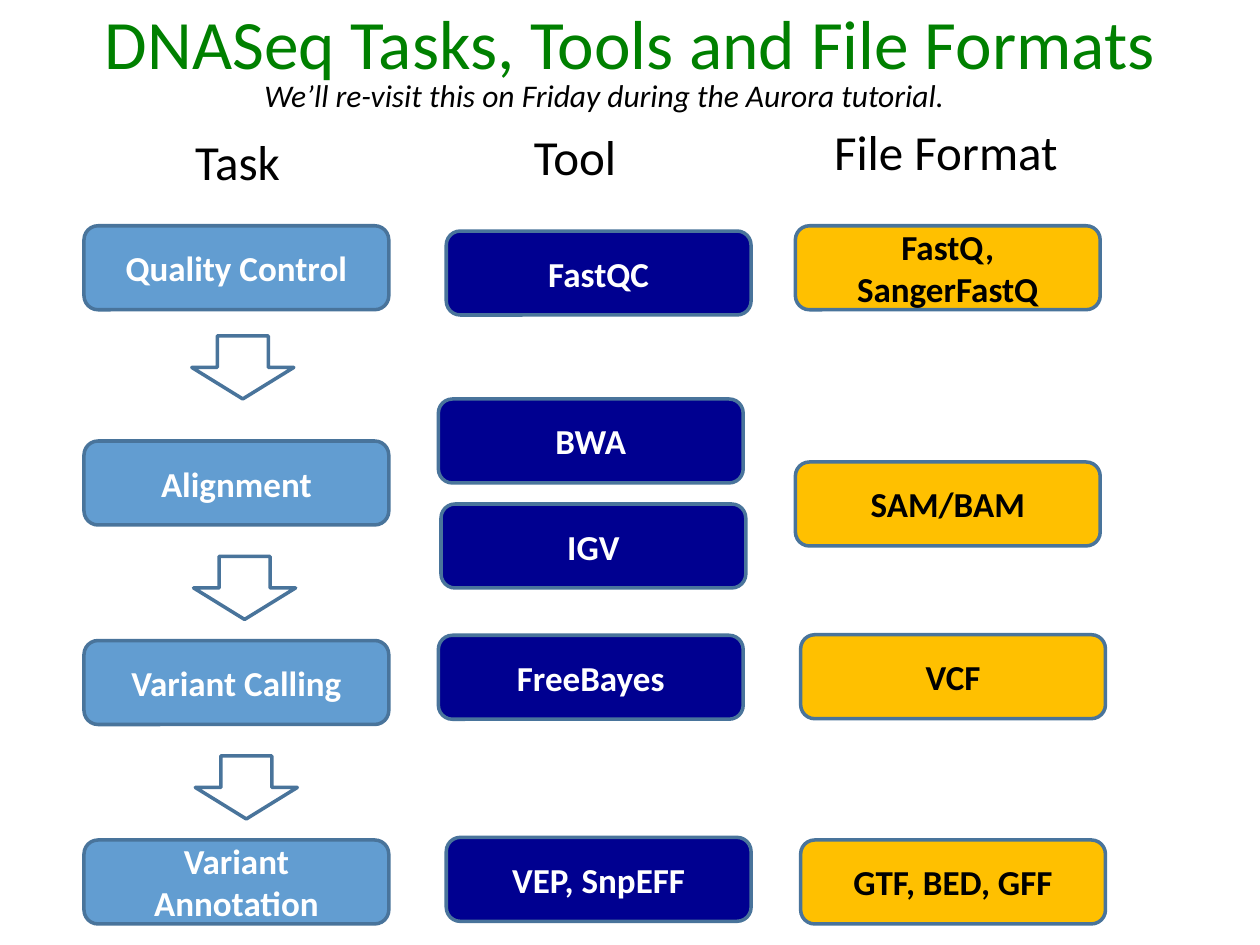
from dataclasses import dataclass

from pptx import Presentation
from pptx.dml.color import RGBColor
from pptx.enum.shapes import MSO_SHAPE
from pptx.enum.text import MSO_ANCHOR, MSO_AUTO_SIZE, PP_ALIGN
from pptx.shapes.autoshape import Shape
from pptx.slide import Slide
from pptx.text.text import TextFrame
from pptx.util import Pt

ROUNDED = MSO_SHAPE.ROUNDED_RECTANGLE
DOWN_ARROW = MSO_SHAPE.DOWN_ARROW
TOP, MIDDLE = MSO_ANCHOR.TOP, MSO_ANCHOR.MIDDLE
LEFT, CENTER = PP_ALIGN.LEFT, PP_ALIGN.CENTER
NO_AUTOFIT, GROW = MSO_AUTO_SIZE.NONE, MSO_AUTO_SIZE.SHAPE_TO_FIT_TEXT


@dataclass(frozen=True)
class Theme:
    font: str = "Calibri"
    title_size: float = 39.6
    heading_size: float = 28
    box_size: float = 20
    note_size: float = 18
    green: str = "008000"
    sky: str = "629DD1"
    navy: str = "000090"
    gold: str = "FFC000"
    outline: str = "49749B"
    white: str = "FFFFFF"
    black: str = "000000"
    outline_width: float = 2


THEME = Theme()
BOX_WIDTH, BOX_HEIGHT = 174.2, 48
ARROW_WIDTH, ARROW_HEIGHT = 58.3, 36


@dataclass(frozen=True)
class Box:
    text: str
    left: float
    top: float


@dataclass(frozen=True)
class Column:
    heading: str
    heading_left: float
    heading_top: float
    heading_width: float
    fill: str
    text_color: str
    boxes: tuple[Box, ...]


@dataclass(frozen=True)
class Arrow:
    left: float
    top: float


COLUMNS = (
    Column("Task", 104.4, 71.5, 63.4, THEME.sky, THEME.white, (
        Box("Quality Control", 48, 129),
        Box("Alignment", 48, 252),
        Box("Variant Calling", 48, 366),
        Box("Variant Annotation", 48, 480),
    )),
    Column("Tool", 298, 68.6, 61.9, THEME.navy, THEME.white, (
        Box("FastQC", 255, 132),
        Box("BWA", 250.5, 228),
        Box("IGV", 252, 288),
        Box("FreeBayes", 250.5, 363),
        Box("VEP, SnpEFF", 255, 478.5),
    )),
    Column("File Format", 469.5, 66, 143.3, THEME.gold, THEME.black, (
        Box("FastQ, SangerFastQ", 454.5, 129),
        Box("SAM/BAM", 454.5, 264),
        Box("VCF", 457.5, 362.7),
        Box("GTF, BED, GFF", 457.5, 480),
    )),
)
ARROWS = (Arrow(109.6, 192), Arrow(110.6, 318), Arrow(111.6, 432))


def write_text(frame: TextFrame, text: str, *, size: float, color: str,
               bold: bool = False, italic: bool = False, align: PP_ALIGN = LEFT,
               anchor: MSO_ANCHOR = TOP, wrap: bool = True,
               fit: MSO_AUTO_SIZE = NO_AUTOFIT) -> None:
    frame.word_wrap = wrap
    frame.auto_size = fit
    frame.vertical_anchor = anchor
    paragraph = frame.paragraphs[0]
    paragraph.alignment = align
    run = paragraph.add_run()
    run.text = text
    run.font.name = THEME.font
    run.font.size = Pt(size)
    run.font.bold = bold
    run.font.italic = italic
    run.font.color.rgb = RGBColor.from_string(color)


def add_outlined_shape(slide: Slide, kind: MSO_SHAPE, left: float, top: float,
                       width: float, height: float, fill: str) -> Shape:
    shape = slide.shapes.add_shape(kind, Pt(left), Pt(top), Pt(width), Pt(height))
    shape.shadow.inherit = False
    shape.fill.solid()
    shape.fill.fore_color.rgb = RGBColor.from_string(fill)
    shape.line.color.rgb = RGBColor.from_string(THEME.outline)
    shape.line.width = Pt(THEME.outline_width)
    return shape


def add_title(slide: Slide, text: str) -> None:
    title = slide.shapes.title
    title.left, title.top, title.width, title.height = Pt(36), Pt(-6), Pt(648), Pt(90)
    title.text_frame.margin_top = Pt(6)
    write_text(title.text_frame, text, size=THEME.title_size, color=THEME.green,
               align=CENTER)


def add_note(slide: Slide, text: str) -> None:
    note = slide.shapes.add_textbox(Pt(144), Pt(39.6), Pt(497), Pt(29))
    write_text(note.text_frame, text, size=THEME.note_size, color=THEME.black,
               italic=True, fit=GROW)


def add_column(slide: Slide, column: Column) -> None:
    heading = slide.shapes.add_textbox(Pt(column.heading_left), Pt(column.heading_top),
                                       Pt(column.heading_width), Pt(41))
    write_text(heading.text_frame, column.heading, size=THEME.heading_size,
               color=THEME.black, wrap=False, fit=GROW)
    for box in column.boxes:
        shape = add_outlined_shape(slide, ROUNDED, box.left, box.top,
                                   BOX_WIDTH, BOX_HEIGHT, column.fill)
        write_text(shape.text_frame, box.text, size=THEME.box_size,
                   color=column.text_color, bold=True, align=CENTER, anchor=MIDDLE)


def main() -> None:
    presentation = Presentation()
    presentation.slide_width, presentation.slide_height = Pt(720), Pt(540)
    slide = presentation.slides.add_slide(presentation.slide_layouts[5])
    add_title(slide, "DNASeq Tasks, Tools and File Formats")
    add_note(slide, "We’ll re-visit this on Friday during the Aurora tutorial.")
    for column in COLUMNS:
        add_column(slide, column)
    for arrow in ARROWS:
        add_outlined_shape(slide, DOWN_ARROW, arrow.left, arrow.top,
                           ARROW_WIDTH, ARROW_HEIGHT, THEME.white)
    presentation.save("out.pptx")


if __name__ == "__main__":
    main()
